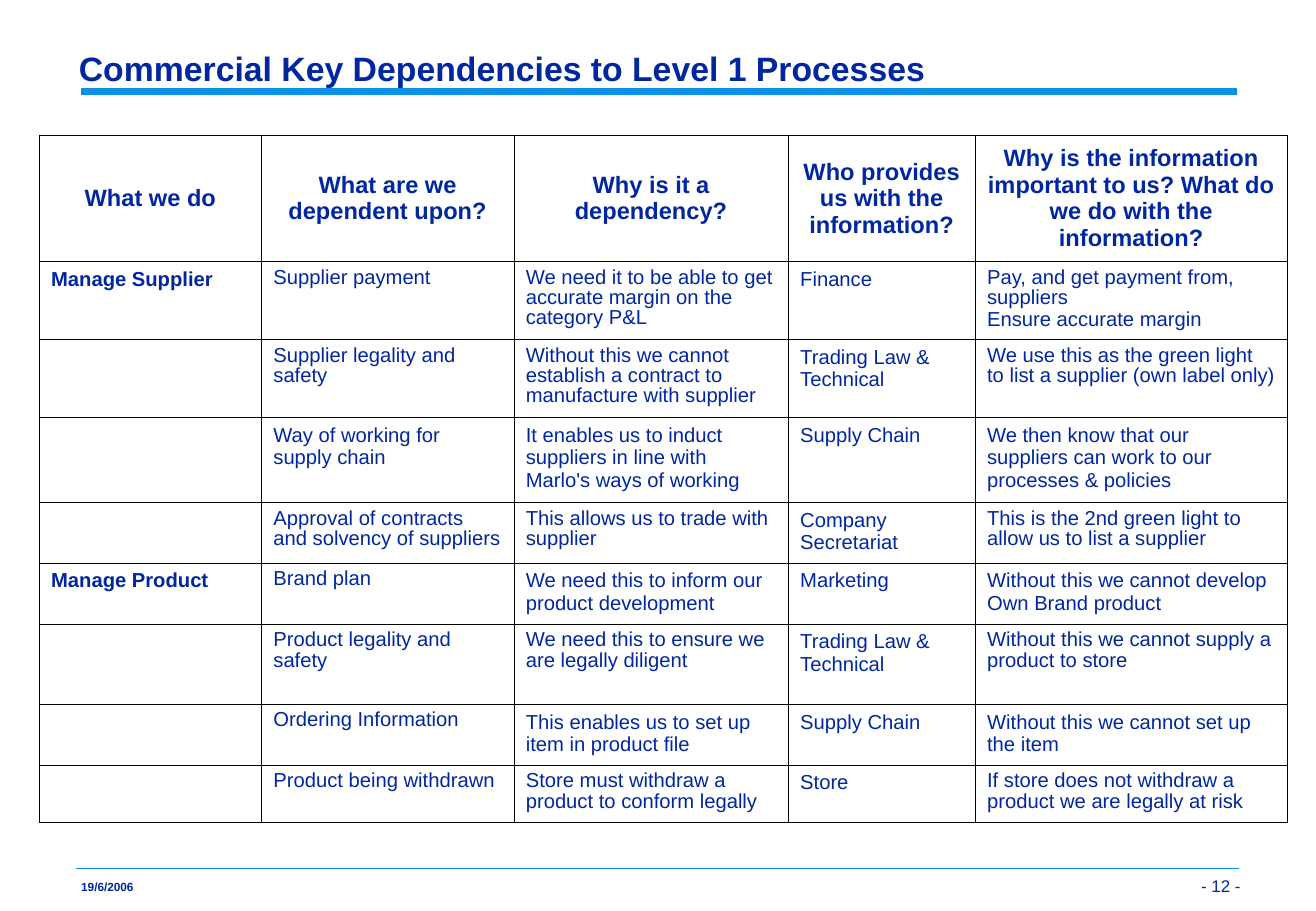
"""Build the slide of commercial key dependencies to level 1 processes."""
import dataclasses

import lxml.etree
import pptx
import pptx.dml.color
import pptx.enum.shapes
import pptx.enum.text
import pptx.oxml.ns
import pptx.util

Cm = pptx.util.Cm
Pt = pptx.util.Pt
Anchor = pptx.enum.text.MSO_ANCHOR
Align = pptx.enum.text.PP_ALIGN


@dataclasses.dataclass(frozen=True)
class Theme:
    """Colours, font and type sizes of the slide."""
    font: str = "Arial"
    ink: str = "00279F"
    rule: str = "0A91E6"
    border: str = "000000"
    cell: str = "FFFFFF"
    title: float = 20
    header: float = 14
    body: float = 12
    page: float = 10
    date: float = 7
    border_width: float = 0.45


THEME = Theme()
COLUMN_WIDTHS = (4.65, 5.28, 5.74, 3.91, 6.53)
ROW_HEIGHTS = (2.64, 1.63, 1.63, 1.78, 1.27, 1.27, 1.68, 1.27, 1.19)
TIGHT_LINES = 0.9
MOSTLY_TIGHT = (1, 2, 4)
ITEM_TIGHT = (1,)
ALL_LOOSE = ()

HEADERS = (
    "What we do",
    "What are we dependent upon?",
    "Why is it a dependency?",
    "Who provides us with the information?",
    "Why is the information important to us? What do we do with the information?",
)
DEPENDENCIES = (
    (MOSTLY_TIGHT, "Manage Supplier", "Supplier payment",
     "We need it to be able to get accurate margin on the category P&L", "Finance",
     "Pay, and get payment from, suppliers\nEnsure accurate margin"),
    (MOSTLY_TIGHT, "", "Supplier legality and safety",
     "Without this we cannot establish a contract to manufacture with supplier",
     "Trading Law & Technical",
     "We use this as the green light to list a supplier (own label only)"),
    (ALL_LOOSE, "", "Way of working for supply chain",
     "It enables us to induct suppliers in line with Marlo's ways of working",
     "Supply Chain",
     "We then know that our suppliers can work to our processes & policies"),
    (MOSTLY_TIGHT, "", "Approval of contracts and solvency of suppliers",
     "This allows us to trade with supplier", "Company Secretariat",
     "This is the 2nd green light to allow us to list a supplier"),
    (ITEM_TIGHT, "Manage Product", "Brand plan",
     "We need this to inform our product development", "Marketing",
     "Without this we cannot develop Own Brand product"),
    (MOSTLY_TIGHT, "", "Product legality and safety",
     "We need this to ensure we are legally diligent", "Trading Law & Technical",
     "Without this we cannot supply a product to store"),
    (ITEM_TIGHT, "", "Ordering Information",
     "This enables us to set up item in product file", "Supply Chain",
     "Without this we cannot set up the item"),
    (MOSTLY_TIGHT, "", "Product being withdrawn",
     "Store must withdraw a product to conform legally", "Store",
     "If store does not withdraw a product we are legally at risk"),
)


def apply_format(target, values):
    """Set each named attribute of the target."""
    for name, value in values.items():
        setattr(target, name, value)


def colour(value):
    """Return the colour object of a hex value."""
    return pptx.dml.color.RGBColor.from_string(value)


def write_text(frame, text, size, bold=False, **layout):
    """Fill a text frame, one paragraph for each line of text."""
    frame.text = text
    for para in frame.paragraphs:
        apply_format(para, {"space_before": Pt(0), **layout})
        for span in para.runs:
            apply_format(span.font, {"name": THEME.font, "size": Pt(size), "bold": bold})
            span.font.color.rgb = colour(THEME.ink)


def place(shape, left, top, width, height):
    """Move and size a shape, in centimetres."""
    apply_format(shape, {"left": Cm(left), "top": Cm(top),
                         "width": Cm(width), "height": Cm(height)})


def set_frame(frame, anchor, inset=(0, 0), wrap=True):
    """Set the anchor, wrapping and side and end margins of a text frame."""
    side, end = (Cm(value) for value in inset)
    apply_format(frame, {"vertical_anchor": anchor, "word_wrap": wrap,
                         "auto_size": pptx.enum.text.MSO_AUTO_SIZE.NONE,
                         "margin_left": side, "margin_right": side,
                         "margin_top": end, "margin_bottom": end})


def add_rule(slide, left, right, top, weight):
    """Draw a horizontal rule without a shadow."""
    rule = slide.shapes.add_connector(pptx.enum.shapes.MSO_CONNECTOR.STRAIGHT,
                                      Cm(left), Cm(top), Cm(right), Cm(top))
    rule.line.color.rgb = colour(THEME.rule)
    rule.line.width = Pt(weight)
    lxml.etree.SubElement(rule.element.spPr, pptx.oxml.ns.qn("a:effectLst"))


def add_label(slide, area, text, size, frame_format, **text_format):
    """Add a text box at the given area."""
    box = slide.shapes.add_textbox(*(Cm(value) for value in area))
    set_frame(box.text_frame, **frame_format)
    write_text(box.text_frame, text, size, **text_format)


def format_title(slide):
    """Place the title above the rule and write it."""
    title = slide.shapes.title
    title.element.getparent().append(title.element)
    place(title, 1.47, 0.84, 24.46, 1.12)
    set_frame(title.text_frame, Anchor.BOTTOM, (0.18, 0.08))
    write_text(title.text_frame, "Commercial Key Dependencies to Level 1 Processes",
               THEME.title, bold=True, alignment=Align.LEFT, line_spacing=0.97)


def style_cell(cell, anchor):
    """Give a cell its four borders, fill, margins and anchor."""
    properties = cell._tc.get_or_add_tcPr()
    qn = pptx.oxml.ns.qn
    for side in ("lnL", "lnR", "lnT", "lnB"):
        line = lxml.etree.SubElement(properties, qn(f"a:{side}"),
                                     w=str(int(Pt(THEME.border_width))))
        fill = lxml.etree.SubElement(line, qn("a:solidFill"))
        lxml.etree.SubElement(fill, qn("a:srgbClr"), val=THEME.border)
    cell.fill.solid()
    cell.fill.fore_color.rgb = colour(THEME.cell)
    apply_format(cell, {"vertical_anchor": anchor,
                        "margin_left": Cm(0.25), "margin_right": Cm(0.25),
                        "margin_top": Cm(0.13), "margin_bottom": Cm(0.13)})


def add_dependency_table(slide):
    """Add the table of dependencies under its header row."""
    frame = slide.shapes.add_table(len(ROW_HEIGHTS), len(COLUMN_WIDTHS), Cm(0.82), Cm(2.83),
                                   Cm(sum(COLUMN_WIDTHS)), Cm(sum(ROW_HEIGHTS)))
    table = frame.table
    apply_format(table, {"first_row": False, "horz_banding": False})
    for column, width in zip(table.columns, COLUMN_WIDTHS):
        column.width = Cm(width)
    for row, height in zip(table.rows, ROW_HEIGHTS):
        row.height = Cm(height)
    for index, text in enumerate(HEADERS):
        cell = table.cell(0, index)
        style_cell(cell, Anchor.MIDDLE)
        write_text(cell.text_frame, text, THEME.header, bold=True, alignment=Align.CENTER)
    for number, (tight, *texts) in enumerate(DEPENDENCIES, start=1):
        for index, text in enumerate(texts):
            cell = table.cell(number, index)
            style_cell(cell, Anchor.TOP)
            if text:
                write_text(cell.text_frame, text, THEME.body, bold=index == 0,
                           line_spacing=TIGHT_LINES if index in tight else 1.0)
            for para in cell.text_frame.paragraphs[1:]:
                apply_format(para, {"line_spacing": 0.3, "space_before": Pt(7.5)})


def main():
    """Build the deck and save it."""
    deck = pptx.Presentation()
    apply_format(deck, {"slide_width": Cm(27.53), "slide_height": Cm(19.05)})
    slide = deck.slides.add_slide(deck.slide_layouts.get_by_name("Title Only"))
    add_rule(slide, 1.7, 25.88, 1.91, 4)
    add_rule(slide, 1.6, 25.91, 18.16, 1)
    format_title(slide)
    add_dependency_table(slide)
    add_label(slide, (1.7, 18.42, 1.09, 0.28), "19/6/2006", THEME.date,
              {"anchor": Anchor.TOP, "wrap": False}, bold=True, line_spacing=TIGHT_LINES)
    add_label(slide, (24.61, 17.83, 1.52, 0.99), "- 12 -", THEME.page,
              {"anchor": Anchor.BOTTOM, "inset": (0.18, 0.08)}, alignment=Align.RIGHT)
    deck.save("out.pptx")


if __name__ == "__main__":
    main()
